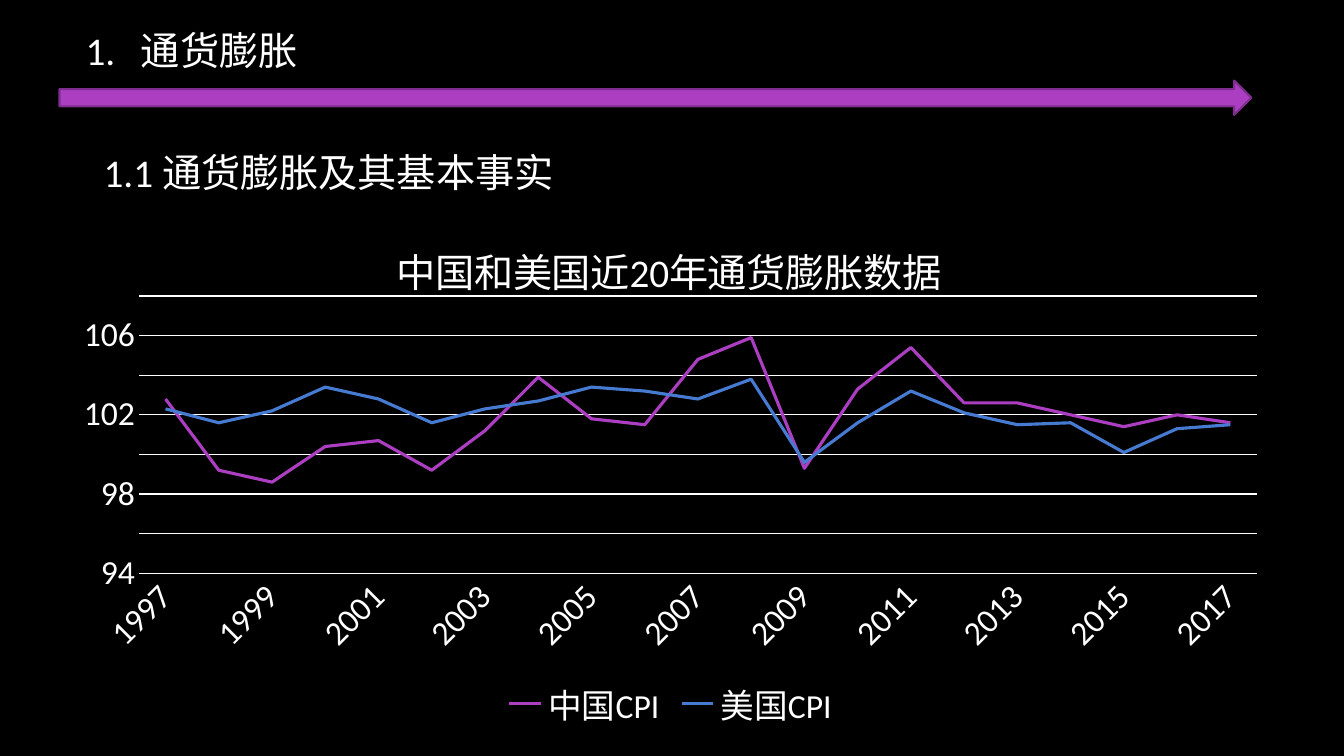
from lxml import etree
from pptx import Presentation
from pptx.chart.data import CategoryChartData
from pptx.dml.color import RGBColor
from pptx.enum import chart as ch, shapes
from pptx.oxml import parse_xml
from pptx.oxml.ns import nsdecls, qn
from pptx.util import Inches, Pt

FONT = "Calibri"
WHITE, BLACK = "FFFFFF", "000000"
PURPLE, DARK_PURPLE, BLUE = "AC3EC1", "7F2E8F", "477BD1"

YEARS = [str(year) for year in range(1997, 2018)]
CPI = {
    "中国CPI": (PURPLE, [102.8, 99.2, 98.6, 100.4, 100.7, 99.2, 101.2,
                       103.9, 101.8, 101.5, 104.8, 105.9, 99.3, 103.3,
                       105.4, 102.6, 102.6, 102, 101.4, 102, 101.6]),
    "美国CPI": (BLUE, [102.3, 101.6, 102.2, 103.4, 102.8, 101.6, 102.3,
                     102.7, 103.4, 103.2, 102.8, 103.8, 99.6, 101.6,
                     103.2, 102.1, 101.5, 101.6, 100.1, 101.3, 101.5]),
}


def color(hex_value):
    return RGBColor.from_string(hex_value)


def style_font(font, size):
    font.size, font.name, font.bold = Pt(size), FONT, False
    font.color.rgb = color(WHITE)


def style_line(line, hex_value, width):
    line.color.rgb = color(hex_value)
    line.width = Pt(width)


def add_heading(slide, words, left, top, tab=None):
    box = slide.shapes.add_textbox(Inches(left), Inches(top), Inches(11), Inches(0.6))
    box.text_frame.word_wrap = True
    heading = box.text_frame.paragraphs[0]
    heading.text = words
    if tab:
        tabs = etree.SubElement(heading._p.get_or_add_pPr(), qn("a:tabLst"))
        etree.SubElement(tabs, qn("a:tab"), pos=str(Inches(tab)), algn="l")
    for run in heading.runs:
        style_font(run.font, 28)


def add_arrow(slide):
    arrow = slide.shapes.add_shape(shapes.MSO_SHAPE.RIGHT_ARROW, Inches(0.59),
                                   Inches(0.8), Inches(11.82), Inches(0.34))
    arrow.shadow.inherit = False
    arrow.fill.solid()
    arrow.fill.fore_color.rgb = color(PURPLE)
    style_line(arrow.line, DARK_PURPLE, 1.5)


def manual_layout(inner=False, **fractions):
    """Layout element placed by fractions of the chart area."""
    target = '<c:layoutTarget val="inner"/>' if inner else ""
    modes = "".join(f'<c:{key}Mode val="edge"/>' for key in "xy")
    values = "".join(f'<c:{key} val="{value}"/>' for key, value in fractions.items())
    return parse_xml(f'<c:layout {nsdecls("c")}><c:manualLayout>{target}{modes}'
                     f'{values}</c:manualLayout></c:layout>')


def set_layout(element, layout, position):
    for old in element.findall(qn("c:layout")):
        element.remove(old)
    element.insert(position, layout)


def style_axes(chart):
    years, values = chart.category_axis, chart.value_axis
    for axis in (years, values):
        axis.major_tick_mark = axis.minor_tick_mark = ch.XL_TICK_MARK.NONE
        style_font(axis.tick_labels.font, 24)
    style_line(years.format.line, WHITE, 0.75)

    # Every second year, turned 45 degrees
    label_body = years._element.find(qn("c:txPr")).find(qn("a:bodyPr"))
    label_body.set("rot", "-2700000")
    skip = parse_xml(f'<c:tickLblSkip {nsdecls("c")} val="2"/>')
    years._element.find(qn("c:noMultiLvlLbl")).addprevious(skip)

    values.minimum_scale, values.maximum_scale, values.major_unit = 94, 108, 2
    values.tick_labels.number_format = "General"
    values.tick_labels.number_format_is_linked = False
    values.format.line.fill.background()
    values.has_major_gridlines = True
    style_line(values.major_gridlines.format.line, WHITE, 0.75)


def add_cpi_chart(slide):
    data = CategoryChartData()
    data.categories = YEARS
    for country, (_, index) in CPI.items():
        data.add_series(country, index)
    chart = slide.shapes.add_chart(ch.XL_CHART_TYPE.LINE, Inches(0.59), Inches(2.02),
                                   Inches(12.12), Inches(5.27), data).chart
    style_font(chart.font, 10)

    # Title
    chart.has_title = True
    title = chart.chart_title.text_frame.paragraphs[0]
    title.text = "中国和美国近20年通货膨胀数据"
    style_font(title.runs[0].font, 28)
    set_layout(chart.chart_title._element, manual_layout(x=0.27, y=0.05), 1)

    # Axes and plot area
    style_axes(chart)
    set_layout(chart._chartSpace.chart.plotArea,
               manual_layout(inner=True, x=0.065, y=0.174, w=0.915, h=0.522), 0)

    # Series
    chart.plots[0].vary_by_categories = False
    for series in chart.plots[0].series:
        series.smooth = False
        series.marker.style = ch.XL_MARKER_STYLE.NONE
        style_line(series.format.line, CPI[series.name][0], 2.25)

    # Legend
    chart.has_legend = True
    chart.legend.position = ch.XL_LEGEND_POSITION.BOTTOM
    chart.legend.include_in_layout = False
    style_font(chart.legend.font, 24)


def main():
    deck = Presentation()
    deck.slide_width, deck.slide_height = Inches(13.33), Inches(7.5)
    slide = deck.slides.add_slide(deck.slide_layouts[6])
    slide.background.fill.solid()
    slide.background.fill.fore_color.rgb = color(BLACK)

    add_heading(slide, "1.\t通货膨胀", 0.75, 0.21, tab=0.55)
    add_arrow(slide)
    add_heading(slide, "1.1 通货膨胀及其基本事实", 0.93, 1.42)
    add_cpi_chart(slide)

    deck.save("out.pptx")


if __name__ == "__main__":
    main()
